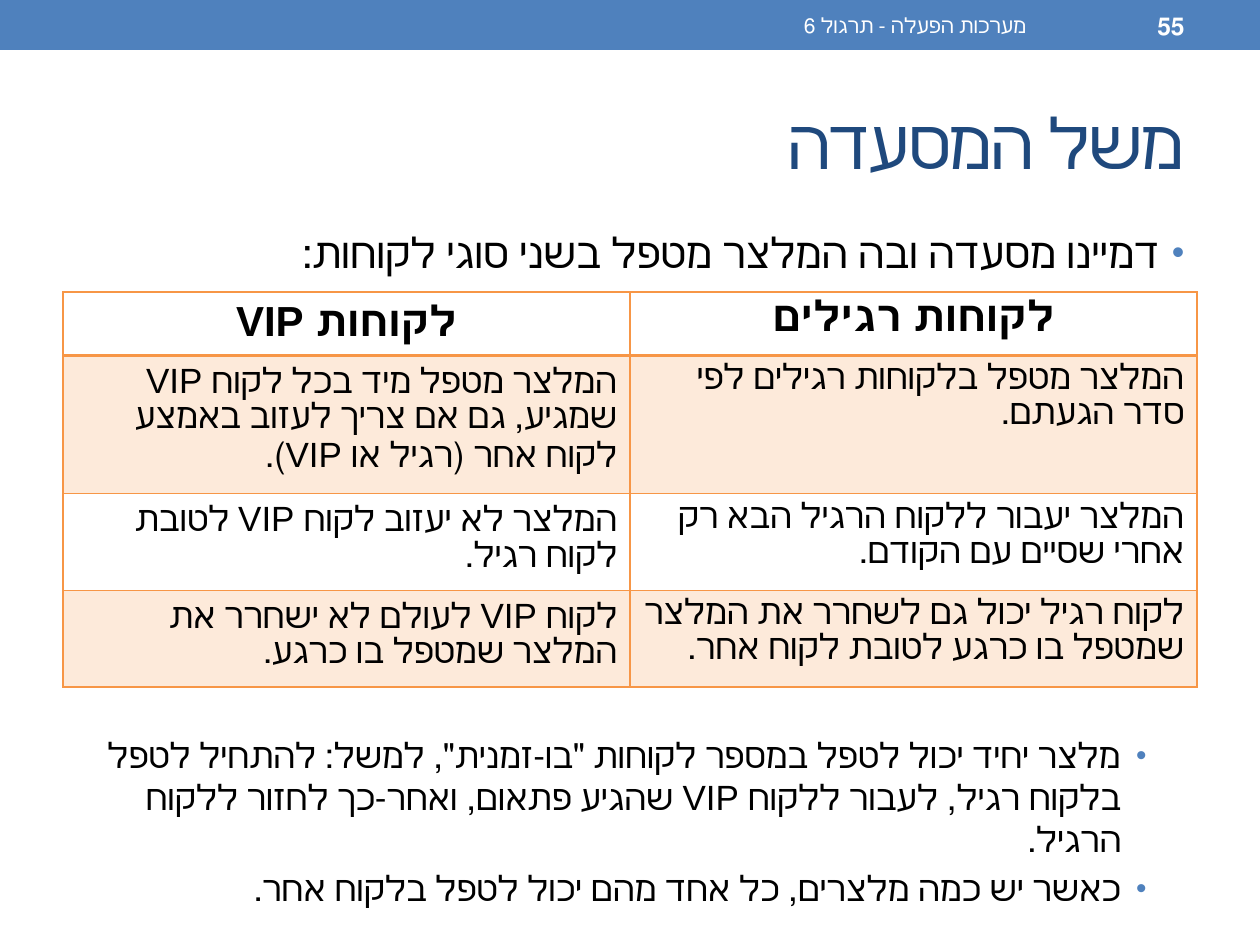
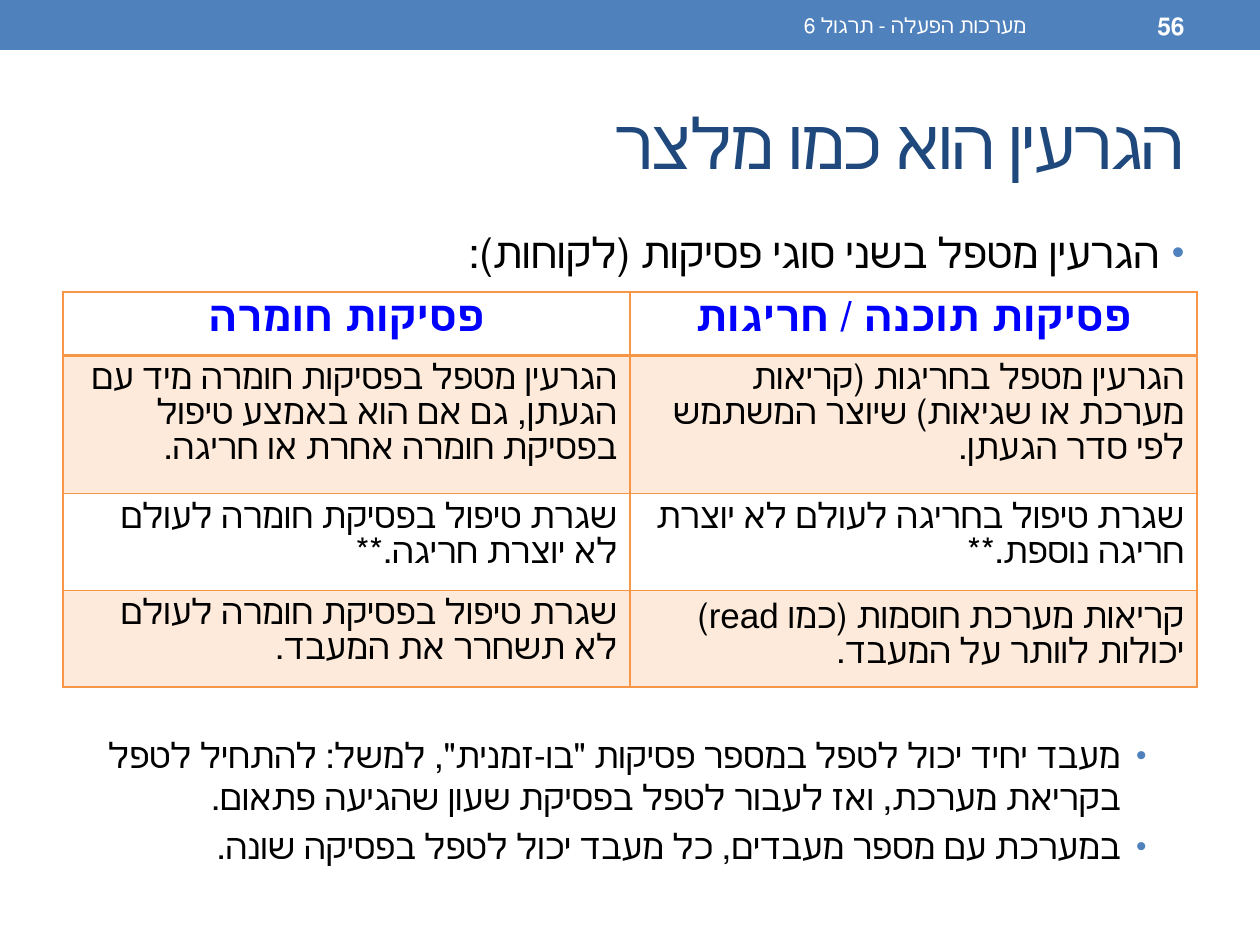
"""Build two Hebrew lecture slides comparing a waiter with an operating system kernel."""
from lxml import etree
from pptx import Presentation
from pptx.dml.color import RGBColor
from pptx.enum.lang import MSO_LANGUAGE_ID
from pptx.enum.shapes import MSO_SHAPE
from pptx.enum.text import MSO_ANCHOR, MSO_AUTO_SIZE, PP_ALIGN
from pptx.oxml.ns import qn
from pptx.util import Pt

HEBREW = MSO_LANGUAGE_ID.HEBREW
RECTANGLE = MSO_SHAPE.RECTANGLE
TOP, MIDDLE = MSO_ANCHOR.TOP, MSO_ANCHOR.MIDDLE
NO_AUTOFIT = MSO_AUTO_SIZE.NONE
RIGHT, CENTER = PP_ALIGN.RIGHT, PP_ALIGN.CENTER

BLUE = RGBColor(0x4F, 0x81, 0xBD)
NAVY = RGBColor(0x1F, 0x49, 0x7D)
BRIGHT_BLUE = RGBColor(0x00, 0x00, 0xFF)
ORANGE = RGBColor(0xF7, 0x96, 0x46)
BLACK = RGBColor(0, 0, 0)
WHITE = RGBColor(0xFF, 0xFF, 0xFF)

FOOTER = "מערכות הפעלה - תרגול 6"
SLIDES = [
    {
        "number": "55",
        "title": "משל המסעדה",
        "intro": "דמיינו מסעדה ובה המלצר מטפל בשני סוגי לקוחות:",
        "header_color": BLACK,
        "rows": [
            ("לקוחות VIP", "לקוחות רגילים"),
            ("המלצר מטפל מיד בכל לקוח VIP שמגיע, גם אם צריך לעזוב באמצע לקוח אחר (רגיל או VIP).",
             "המלצר מטפל בלקוחות רגילים לפי סדר הגעתם."),
            ("המלצר לא יעזוב לקוח VIP לטובת לקוח רגיל.",
             "המלצר יעבור ללקוח הרגיל הבא רק אחרי שסיים עם הקודם."),
            ("לקוח VIP לעולם לא ישחרר את המלצר שמטפל בו כרגע.",
             "לקוח רגיל יכול גם לשחרר את המלצר שמטפל בו כרגע לטובת לקוח אחר."),
        ],
        "points": [
            "מלצר יחיד יכול לטפל במספר לקוחות \"בו-זמנית\", למשל: להתחיל לטפל בלקוח רגיל, "
            "לעבור ללקוח VIP שהגיע פתאום, ואחר-כך לחזור ללקוח הרגיל.",
            "כאשר יש כמה מלצרים, כל אחד מהם יכול לטפל בלקוח אחר.",
        ],
    },
    {
        "number": "56",
        "title": "הגרעין הוא כמו מלצר",
        "intro": "הגרעין מטפל בשני סוגי פסיקות (לקוחות):",
        "header_color": BRIGHT_BLUE,
        "rows": [
            ("פסיקות חומרה", "פסיקות תוכנה / חריגות"),
            ("הגרעין מטפל בפסיקות חומרה מיד עם הגעתן, גם אם הוא באמצע טיפול בפסיקת חומרה אחרת או חריגה.",
             "הגרעין מטפל בחריגות (קריאות מערכת או שגיאות) שיוצר המשתמש לפי סדר הגעתן."),
            ("שגרת טיפול בפסיקת חומרה לעולם לא יוצרת חריגה.**",
             "שגרת טיפול בחריגה לעולם לא יוצרת חריגה נוספת.**"),
            ("שגרת טיפול בפסיקת חומרה לעולם לא תשחרר את המעבד.",
             "קריאות מערכת חוסמות (כמו read) יכולות לוותר על המעבד."),
        ],
        "points": [
            "מעבד יחיד יכול לטפל במספר פסיקות \"בו-זמנית\", למשל: להתחיל לטפל בקריאת מערכת, "
            "ואז לעבור לטפל בפסיקת שעון שהגיעה פתאום.",
            "במערכת עם מספר מעבדים, כל מעבד יכול לטפל בפסיקה שונה.",
        ],
    },
]

SCALE = 914400 / 126
SLIDE_SIZE = (1260, 945)
BAND_BOX = (0, 0, 1260, 50)
TITLE_BOX = (63, 73, 1134, 136)
BODY_BOX = (63, 220, 1134, 672)
NUMBER_BOX = (1050, 3, 147, 45)
FOOTER_BOX = (472, 3, 567, 45)
TABLE_BOX = (63, 292, 1134, 391)
ROW_HEIGHTS = (62, 137, 96, 96)
BULLET_INDENT = 25
TABLE_GAP = Pt(261)

TITLE_FONT = {"size": Pt(40), "bold": False}
INTRO_FONT = {"size": Pt(24), "bold": False}
TEXT_FONT = {"size": Pt(20), "bold": False}
HEADER_FONT = {"size": Pt(24), "bold": True}
NUMBER_FONT = {"size": Pt(14), "bold": True}
FOOTER_FONT = {"size": Pt(12), "bold": False}
INTRO_SPACING = {"space_before": Pt(5), "line_spacing": Pt(29)}
POINT_SPACING = {"space_before": Pt(4), "line_spacing": Pt(24)}


def emu(*pixels):
    return [round(pixel * SCALE) for pixel in pixels]


def set_all(target, values):
    for name, value in values.items():
        setattr(target, name, value)


def place(shape, box):
    set_all(shape, dict(zip(("left", "top", "width", "height"), emu(*box))))


def write(paragraph, text, font, color, alignment=RIGHT):
    run = paragraph.add_run()
    run.text = text
    set_all(run.font, {"name": "Arial", "language_id": HEBREW, **font})
    run.font.color.rgb = color
    paragraph.alignment = alignment
    paragraph._p.get_or_add_pPr().set("rtl", "1")
    return run


def add_bullet(paragraph, margin):
    properties = paragraph._p.get_or_add_pPr()
    start, indent = emu(margin, -BULLET_INDENT)
    for name, value in (("marL", start), ("marR", 0), ("indent", indent)):
        properties.set(name, str(value))
    bullet_color = etree.SubElement(properties, qn("a:buClr"))
    etree.SubElement(bullet_color, qn("a:srgbClr"), val=str(BLUE))
    etree.SubElement(properties, qn("a:buSzPct"), val="85000")
    etree.SubElement(properties, qn("a:buFont"), typeface="Arial")
    etree.SubElement(properties, qn("a:buChar"), char="•")


def add_band(slide, number):
    band = slide.shapes.add_shape(RECTANGLE, *emu(*BAND_BOX))
    band.shadow.inherit = False
    band.fill.solid()
    band.fill.fore_color.rgb = BLUE
    band.line.fill.background()
    for text, box, font in ((number, NUMBER_BOX, NUMBER_FONT), (FOOTER, FOOTER_BOX, FOOTER_FONT)):
        frame = slide.shapes.add_textbox(*emu(*box)).text_frame
        set_all(frame, {"word_wrap": True, "vertical_anchor": MIDDLE})
        write(frame.paragraphs[0], text, font, WHITE)


def fill_title(title, text):
    place(title, TITLE_BOX)
    set_all(title.text_frame, {"vertical_anchor": MIDDLE, "auto_size": NO_AUTOFIT})
    run = write(title.text_frame.paragraphs[0], text, TITLE_FONT, NAVY)
    run.font._element.set("spc", "-100")


def fill_body(body, intro, points):
    place(body, BODY_BOX)
    frame = body.text_frame
    set_all(frame, {"vertical_anchor": TOP, "auto_size": NO_AUTOFIT})
    paragraph = frame.paragraphs[0]
    write(paragraph, intro, INTRO_FONT, BLACK)
    set_all(paragraph, INTRO_SPACING)
    add_bullet(paragraph, BULLET_INDENT)
    for index, point in enumerate(points):
        paragraph = frame.add_paragraph()
        paragraph.level = 1
        write(paragraph, point, TEXT_FONT, BLACK)
        set_all(paragraph, POINT_SPACING)
        if index == 0:
            paragraph.space_before = TABLE_GAP
        add_bullet(paragraph, 63)


def set_borders(cell, widths):
    properties = cell._tc.get_or_add_tcPr()
    for index, (side, width) in enumerate(widths.items()):
        line = etree.Element(qn("a:ln" + side), w=str(Pt(width)))
        fill = etree.SubElement(line, qn("a:solidFill"))
        etree.SubElement(fill, qn("a:srgbClr"), val=str(ORANGE))
        properties.insert(index, line)


def shade(cell):
    cell.fill.solid()
    cell.fill.fore_color.rgb = ORANGE
    color = cell._tc.tcPr.find(".//" + qn("a:srgbClr"))
    etree.SubElement(color, qn("a:alpha"), val="20000")


def add_comparison(slide, rows, header_color):
    table = slide.shapes.add_table(len(rows), 2, *emu(*TABLE_BOX)).table
    set_all(table, {"first_row": False, "horz_banding": False})
    for row_index, (texts, height) in enumerate(zip(rows, ROW_HEIGHTS)):
        table.rows[row_index].height = emu(height)[0]
        header = row_index == 0
        for column_index, text in enumerate(texts):
            cell = table.cell(row_index, column_index)
            paragraph = cell.text_frame.paragraphs[0]
            if header:
                write(paragraph, text, HEADER_FONT, header_color, CENTER)
            else:
                write(paragraph, text, TEXT_FONT, BLACK)
            if row_index % 2:
                shade(cell)
            else:
                cell.fill.background()
            set_borders(cell, {"L": 1, "R": 1, "T": 2 if row_index == 1 else 1, "B": 2 if header else 1})


def main():
    presentation = Presentation()
    presentation.slide_width, presentation.slide_height = emu(*SLIDE_SIZE)
    for content in SLIDES:
        slide = presentation.slides.add_slide(presentation.slide_layouts[1])
        fill_title(slide.shapes.title, content["title"])
        fill_body(slide.placeholders[1], content["intro"], content["points"])
        add_band(slide, content["number"])
        add_comparison(slide, content["rows"], content["header_color"])
    presentation.save("out.pptx")


main()
